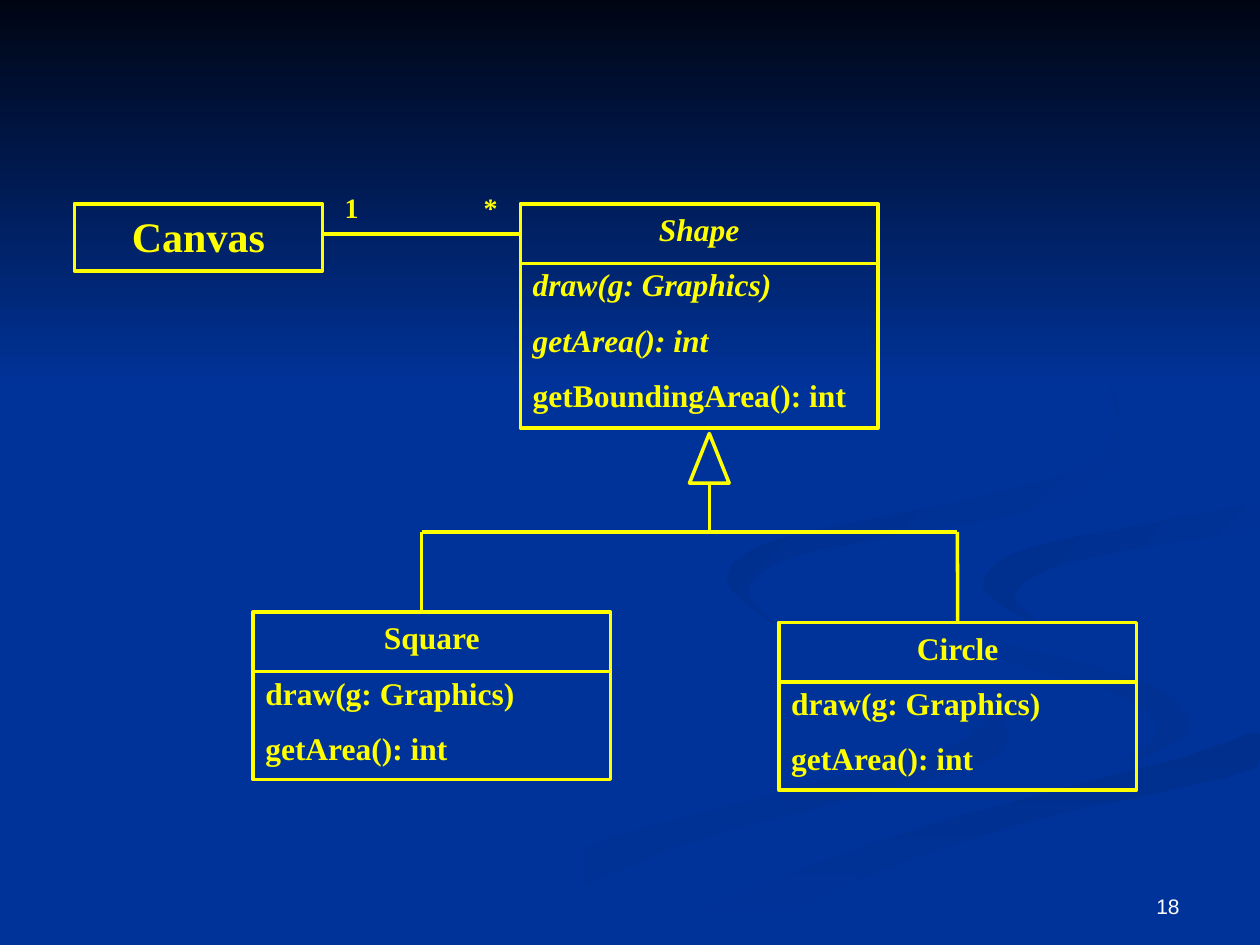
import pptx
import pptx.dml.color
import pptx.enum.shapes
import pptx.enum.text
import pptx.oxml
import pptx.util

Cm = pptx.util.Cm
Pt = pptx.util.Pt
SHAPES = pptx.enum.shapes.MSO_SHAPE
ALIGN = pptx.enum.text.PP_ALIGN
ANCHOR = pptx.enum.text.MSO_ANCHOR

BLUE = pptx.dml.color.RGBColor(0x00, 0x33, 0x99)
NIGHT = pptx.dml.color.RGBColor(0x00, 0x05, 0x14)
DUSK = pptx.dml.color.RGBColor(0x00, 0x31, 0x93)
SHADE = pptx.dml.color.RGBColor(0x00, 0x2F, 0x8D)
YELLOW = pptx.dml.color.RGBColor(0xFF, 0xFF, 0x00)
WHITE = pptx.dml.color.RGBColor(0xFF, 0xFF, 0xFF)

SLIDE_WIDTH, SLIDE_HEIGHT = 25.4, 19.05
CLASS_WIDTH, SUBCLASS_HEIGHT = 7.21, 3.38
HEADER_HEIGHT = 1.2
CURVE_STEPS = 5
RIBBON_UNIT = Cm(0.0254)

RIBBONS = [
    (BLUE, DUSK, 0, [
        (781, 556), (785, 570), (749, 594), (652, 620), (458, 674), (300, 749),
        (361, 749), (532, 674), (676, 634), (780, 605), (800, 581)]),
    (BLUE, DUSK, 315, [
        (943, 570), (905, 540), (792, 509), (733, 483), (724, 464), (733, 488),
        (797, 524), (892, 553), (918, 581), (894, 605), (932, 589)]),
    (SHADE, BLUE, 270, [
        (503, 749), (571, 749), (695, 692), (821, 651), (998, 609), (998, 581),
        (936, 602), (764, 647), (630, 693)]),
    (SHADE, BLUE, 315, [
        (781, 460), (791, 478), (826, 496), (805, 472), (843, 448), (936, 429),
        (998, 420), (998, 402), (898, 418), (810, 437)]),
    (SHADE, BLUE, 315, [
        (683, 430), (825, 402), (889, 362), (880, 307), (889, 335), (861, 370),
        (763, 398), (615, 429), (577, 462), (622, 500), (593, 470), (624, 444)]),
]


def smooth_outline(knots):
    outline = []
    for i, here in enumerate(knots):
        before, after, beyond = knots[i - 1], knots[(i + 1) % len(knots)], knots[(i + 2) % len(knots)]
        for step in range(CURVE_STEPS):
            t = step / CURVE_STEPS
            x, y = (b + t / 2 * (c - a + t * (2 * a - 5 * b + 4 * c - d
                                              + t * (3 * b - a - 3 * c + d)))
                    for a, b, c, d in zip(before, here, after, beyond))
            outline.append((min(x, 1000), min(y, 750)))
    return outline


def paint_gradient(shape, start, end, angle):
    shape.shadow.inherit = False
    shape.line.fill.background()
    shape.fill.gradient()
    shape.fill.gradient_angle = angle
    for stop, color in zip(shape.fill.gradient_stops, (start, end)):
        stop.color.rgb = color


def draw_backdrop(slide, left, top, width, height):
    slide.background.fill.solid()
    slide.background.fill.fore_color.rgb = BLUE
    for start, end, angle, knots in RIBBONS:
        outline = smooth_outline(knots)
        builder = slide.shapes.build_freeform(*outline[0], scale=RIBBON_UNIT)
        builder.add_line_segments(outline[1:], close=True)
        paint_gradient(builder.convert_to_shape(Cm(left), Cm(top)), start, end, angle)
    sky = slide.shapes.add_shape(SHAPES.RECTANGLE, Cm(left), Cm(top), Cm(width), Cm(height))
    paint_gradient(sky, NIGHT, BLUE, 270)


def draw_outline(slide, kind, left, top, width, height):
    outline = slide.shapes.add_shape(kind, Cm(left), Cm(top), Cm(width), Cm(height))
    outline.shadow.inherit = False
    outline.fill.background()
    outline.line.color.rgb = YELLOW
    outline.line.width = Pt(2)
    return outline


def draw_line(slide, x1, y1, x2, y2):
    line = slide.shapes.add_connector(
        pptx.enum.shapes.MSO_CONNECTOR.STRAIGHT, Cm(x1), Cm(y1), Cm(x2), Cm(y2))
    line.line.color.rgb = YELLOW
    line.line.width = Pt(2)
    line._element.spPr.append(pptx.oxml.parse_xml(
        '<a:effectLst xmlns:a="http://schemas.openxmlformats.org/drawingml/2006/main"/>'))
    return line


def format_text(paragraph, text, size, align=ALIGN.LEFT, color=YELLOW,
                name="Times New Roman", bold=True, italic=False):
    paragraph.text = text
    paragraph.alignment = align
    font = paragraph.font
    font.name, font.size, font.bold, font.italic = name, Pt(size), bold, italic
    font.color.rgb = color


def draw_class(slide, left, top, width, height, title, methods=(), abstract=(), size=18):
    box = draw_outline(slide, SHAPES.RECTANGLE, left, top, width, height)
    frame = box.text_frame
    frame.word_wrap = True
    frame.vertical_anchor = ANCHOR.TOP
    format_text(frame.paragraphs[0], title, size, ALIGN.CENTER, italic=title in abstract)
    for method in methods:
        paragraph = frame.add_paragraph()
        paragraph.space_before = Pt(10)
        format_text(paragraph, method, size, italic=method in abstract)
    if methods:
        divider = top + HEADER_HEIGHT
        draw_line(slide, left, divider, left + width, divider)
    return box


def draw_association(slide, left, top, width):
    draw_line(slide, left, top, left + width, top)
    for multiplicity, offset in (("1", 0.2), ("*", 3)):
        label = slide.shapes.add_textbox(Cm(left + offset), Cm(top - 1), Cm(0.79), Cm(0.94))
        format_text(label.text_frame.paragraphs[0], multiplicity, 16)


def draw_inheritance(slide, left, top, width, apex, square_top, circle):
    bar = top + 1.98
    right = left + width
    draw_outline(slide, SHAPES.ISOSCELES_TRIANGLE, apex - 0.4, top, 0.8, 1)
    draw_line(slide, left, bar, right, bar)
    draw_line(slide, left, bar, left, square_top)
    draw_line(slide, right, bar, right, square_top).end_connect(circle, 0)
    draw_line(slide, apex, top + 1, apex, bar)


def draw_slide_number(slide, left, top, width, height):
    number = slide.shapes.add_textbox(Cm(left), Cm(top), Cm(width), Cm(height))
    number.text_frame.word_wrap = True
    number.text_frame.vertical_anchor = ANCHOR.BOTTOM
    format_text(number.text_frame.paragraphs[0], "18", 12, ALIGN.RIGHT, WHITE, "Arial", False)


def main():
    presentation = pptx.Presentation()
    presentation.slide_width = Cm(SLIDE_WIDTH)
    presentation.slide_height = Cm(SLIDE_HEIGHT)
    slide = presentation.slides.add_slide(presentation.slide_layouts[6])
    draw_backdrop(slide, 0, 0, SLIDE_WIDTH, 7.82)
    draw_slide_number(slide, 18.11, 17.32, 5.92, 1.32)

    overridden = ["draw(g: Graphics)", "getArea(): int"]
    draw_class(slide, 1.5, 4.11, 5, 1.35, "Canvas", size=24)
    draw_class(slide, 10.49, 4.11, CLASS_WIDTH, 4.52, "Shape",
               overridden + ["getBoundingArea(): int"], ["Shape"] + overridden)
    circle = draw_class(slide, 15.7, 12.55, CLASS_WIDTH, SUBCLASS_HEIGHT, "Circle", overridden)
    draw_class(slide, 5.1, 12.34, CLASS_WIDTH, SUBCLASS_HEIGHT, "Square", overridden)
    draw_inheritance(slide, 8.5, 8.74, 10.8, 14.3, 12.34, circle)
    draw_association(slide, 6.5, 4.72, 3.99)
    presentation.save("out.pptx")


if __name__ == "__main__":
    main()
